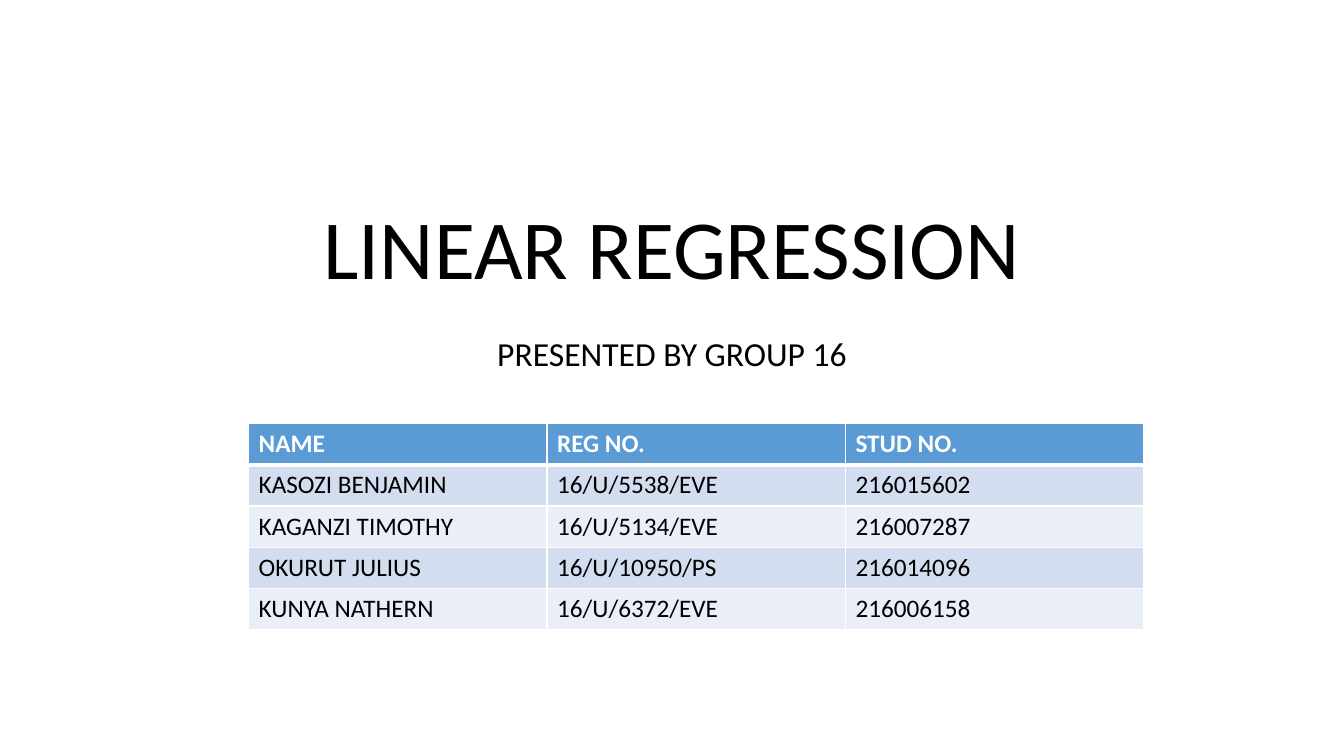
from lxml import etree
from pptx import Presentation
from pptx.dml.color import RGBColor
from pptx.enum.text import MSO_ANCHOR, MSO_AUTO_SIZE, PP_ALIGN
from pptx.oxml.ns import qn
from pptx.util import Inches, Pt

CENTER, LEFT = PP_ALIGN.CENTER, PP_ALIGN.LEFT
TOP, BOTTOM = MSO_ANCHOR.TOP, MSO_ANCHOR.BOTTOM
NO_AUTOFIT = MSO_AUTO_SIZE.NONE

BLACK = RGBColor(0x00, 0x00, 0x00)
WHITE = RGBColor(0xFF, 0xFF, 0xFF)
HEADER_BLUE = RGBColor(0x5B, 0x9B, 0xD5)
BAND_BLUES = (RGBColor(0xD2, 0xDE, 0xEF), RGBColor(0xEA, 0xEF, 0xF7))

SLIDE_WIDTH, SLIDE_HEIGHT = Inches(13.33), Inches(7.5)
TEXT_LEFT, TEXT_WIDTH = 1 / 8, 3 / 4

MEMBERS = (
    ("NAME", "REG NO.", "STUD NO."),
    ("KASOZI BENJAMIN", "16/U/5538/EVE", "216015602"),
    ("KAGANZI TIMOTHY", "16/U/5134/EVE", "216007287"),
    ("OKURUT JULIUS", "16/U/10950/PS", "216014096"),
    ("KUNYA NATHERN", "16/U/6372/EVE", "216006158"),
)


class SlideBuilder:
    """Holds the text style and the slide being built."""

    def __init__(self, slide, font_name):
        """Keep the slide and the typeface used on it."""
        self.slide = slide
        self.font_name = font_name

    def add_run(self, paragraph, text, size, color, bold=False):
        """Append one formatted run to a paragraph."""
        run = paragraph.add_run()
        run.text = text
        run.font.name = self.font_name
        run.font.size = Pt(size)
        run.font.bold = bold
        run.font.color.rgb = color

    def fill_placeholder(self, index, text, top, height, size, anchor, space_before=0):
        """Place a title or subtitle by shares of the slide height."""
        placeholder = self.slide.placeholders[index]
        placeholder.left = int(SLIDE_WIDTH * TEXT_LEFT)
        placeholder.width = int(SLIDE_WIDTH * TEXT_WIDTH)
        placeholder.top = int(SLIDE_HEIGHT * top)
        placeholder.height = int(SLIDE_HEIGHT * height)
        frame = placeholder.text_frame
        frame.auto_size = NO_AUTOFIT
        frame.word_wrap = True
        frame.vertical_anchor = anchor
        paragraph = frame.paragraphs[0]
        paragraph.alignment = CENTER
        paragraph.line_spacing = 0.9
        paragraph.space_before = Pt(space_before)
        self.add_run(paragraph, text, size, BLACK)

    def add_border(self, cell, side, width):
        """Draw a white line on one side of a cell."""
        properties = cell._tc.get_or_add_tcPr()
        line = etree.Element(qn(f"a:ln{side}"), w=str(Pt(width)))
        fill = etree.SubElement(line, qn("a:solidFill"))
        etree.SubElement(fill, qn("a:srgbClr"), val=str(WHITE))
        # Border lines must precede the cell fill and follow L, R, T, B order.
        properties.insert("LRTB".index(side), line)

    def add_table(self, rows, left, top, column_width, row_height):
        """Add a table with a header row and alternating bands."""
        row_count, column_count = len(rows), len(rows[0])
        table = self.slide.shapes.add_table(
            row_count, column_count, int(SLIDE_WIDTH * left), int(SLIDE_HEIGHT * top),
            column_count * column_width, row_count * row_height).table
        for row_index, values in enumerate(rows):
            is_header = row_index == 0
            fill_color = HEADER_BLUE if is_header else BAND_BLUES[(row_index - 1) % 2]
            for column_index, value in enumerate(values):
                cell = table.cell(row_index, column_index)
                cell.fill.solid()
                cell.fill.fore_color.rgb = fill_color
                for side in "LRTB":
                    thick = (is_header and side == "B") or (row_index == 1 and side == "T")
                    self.add_border(cell, side, 3 if thick else 1)
                paragraph = cell.text_frame.paragraphs[0]
                paragraph.alignment = LEFT
                self.add_run(paragraph, value, 18, WHITE if is_header else BLACK, is_header)


def main():
    """Build the title slide and save it."""
    presentation = Presentation()
    presentation.slide_width, presentation.slide_height = SLIDE_WIDTH, SLIDE_HEIGHT
    slide = presentation.slides.add_slide(presentation.slide_layouts[0])
    builder = SlideBuilder(slide, "Calibri")
    builder.fill_placeholder(0, "LINEAR REGRESSION", 0.22, 0.18, 60, BOTTOM)
    builder.fill_placeholder(1, "PRESENTED BY GROUP 16", 0.44, 0.24, 24, TOP, 10)
    builder.add_table(MEMBERS, 0.185, 0.56, Inches(2.96), Inches(0.41))
    presentation.save("out.pptx")


main()
